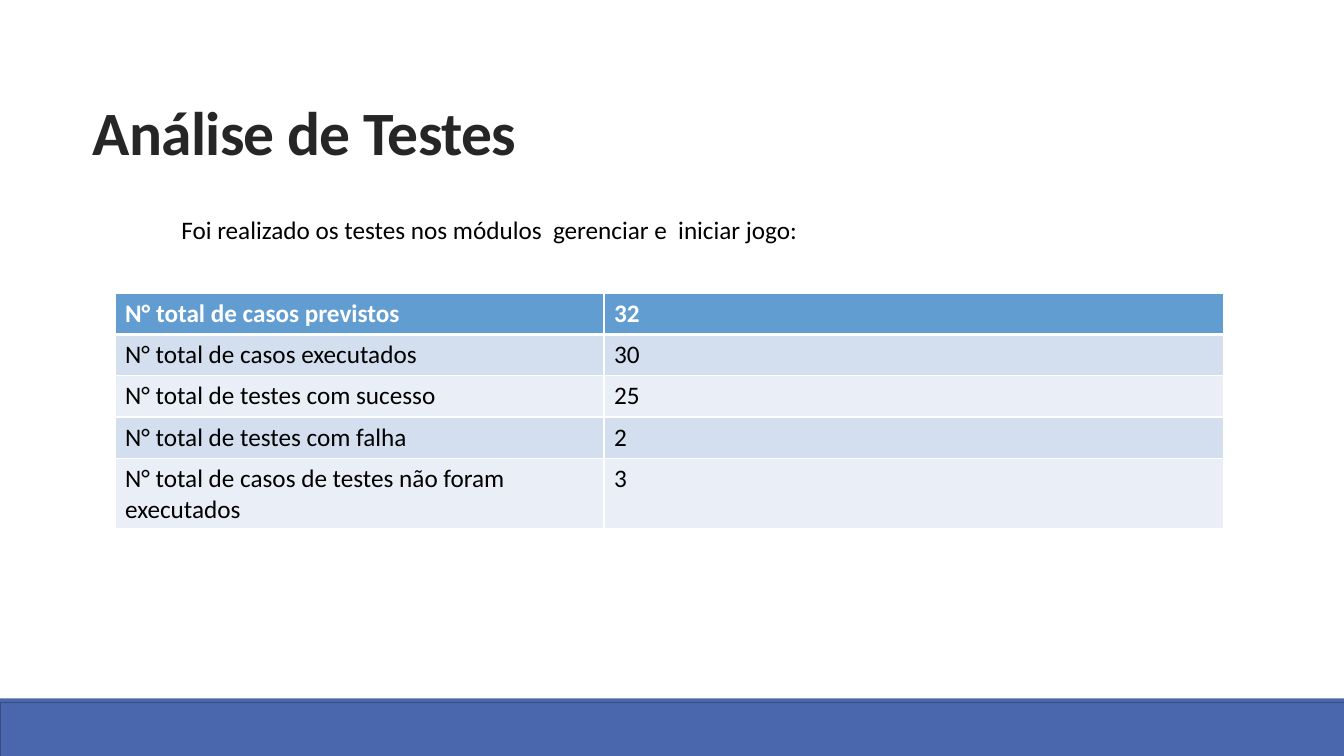
from lxml.etree import SubElement as Sub
from pptx import Presentation
from pptx.dml.color import RGBColor as RGB
from pptx.enum.shapes import MSO_SHAPE as Kind
from pptx.enum.text import MSO_ANCHOR as Anchor
from pptx.oxml.ns import qn
from pptx.util import Cm, Pt

title = "Análise de Testes"
intro = "Foi realizado os testes nos módulos  gerenciar e  iniciar jogo:"
rows = [
    ("N° total de casos previstos", "32"),
    ("N° total de casos executados", "30"),
    ("N° total de testes com sucesso", "25"),
    ("N° total de testes com falha", "2"),
    ("N° total de casos de testes não foram executados", "3"),
]
widths = [12.32, 15.62]
heights = [1.04] * 4 + [1.78]
bands = [
    (17.78, 33.87, 1.27, "629DD1", None),
    (17.6, 33.87, 0.18, "4A66AC", None),
    (17.7, 34.87, 2.08, "4A66AC", "374B7F"),
]
head, tints = "629DD1", ["EAEFF7", "D3DFEE"]


def color(code):
    return RGB.from_string(code)


def style(frame, size, code, bold=False):
    for run in frame.paragraphs[0].runs:
        font = run.font
        font.name, font.size, font.bold = "Calibri", Pt(size), bold
        font.color.rgb = color(code)


def label(text, box, size, code, bold=False):
    frame = slide.shapes.add_textbox(*map(Cm, box)).text_frame
    frame.word_wrap = True
    frame.text = text
    style(frame, size, code, bold)
    return frame


def border(cell, base):
    props = cell._tc.get_or_add_tcPr()
    for spot, side in enumerate(["lnL", "lnR", "lnT", "lnB"]):
        width = base if side == "lnB" else 1
        line = props.makeelement(qn("a:" + side), {"w": str(Pt(width))})
        fill = Sub(line, qn("a:solidFill"))
        Sub(fill, qn("a:srgbClr"), val="FFFFFF")
        props.insert(spot, line)


deck = Presentation()
deck.slide_width, deck.slide_height = Cm(33.87), Cm(19.05)
slide = deck.slides.add_slide(deck.slide_layouts[6])

for top, width, height, code, edge in bands:
    band = slide.shapes.add_shape(Kind.RECTANGLE, 0, Cm(top), Cm(width), Cm(height))
    band.shadow.inherit = False
    band.fill.solid()
    band.fill.fore_color.rgb = color(code)
    if edge:
        band.line.color.rgb = color(edge)
        band.line.width = Pt(1.25)
    else:
        band.line.fill.background()

frame = label(title, (2.08, 1.96, 13.69, 2.41), 44, "262626", True)
frame.vertical_anchor = Anchor.BOTTOM
para = frame.paragraphs[0]
para.line_spacing = 0.85
para.runs[0].font._element.set("spc", "-50")
label(intro, (4.32, 5.28, 26.14, 1.03), 18, "000000")

spot = map(Cm, (2.9, 7.39, sum(widths), sum(heights)))
table = slide.shapes.add_table(len(rows), len(widths), *spot).table
for col, width in zip(table.columns, widths):
    col.width = Cm(width)
for r, (row, height) in enumerate(zip(rows, heights)):
    table.rows[r].height = Cm(height)
    for c, text in enumerate(row):
        cell = table.cell(r, c)
        cell.text_frame.text = text
        style(cell.text_frame, 18, "000000" if r else "FFFFFF", r == 0)
        cell.fill.solid()
        cell.fill.fore_color.rgb = color(tints[r % 2] if r else head)
        border(cell, 1 if r else 3)
        if r == 1:
            cell._tc.tcPr.find(qn("a:lnT")).set("w", str(Pt(3)))

deck.save("out.pptx")
